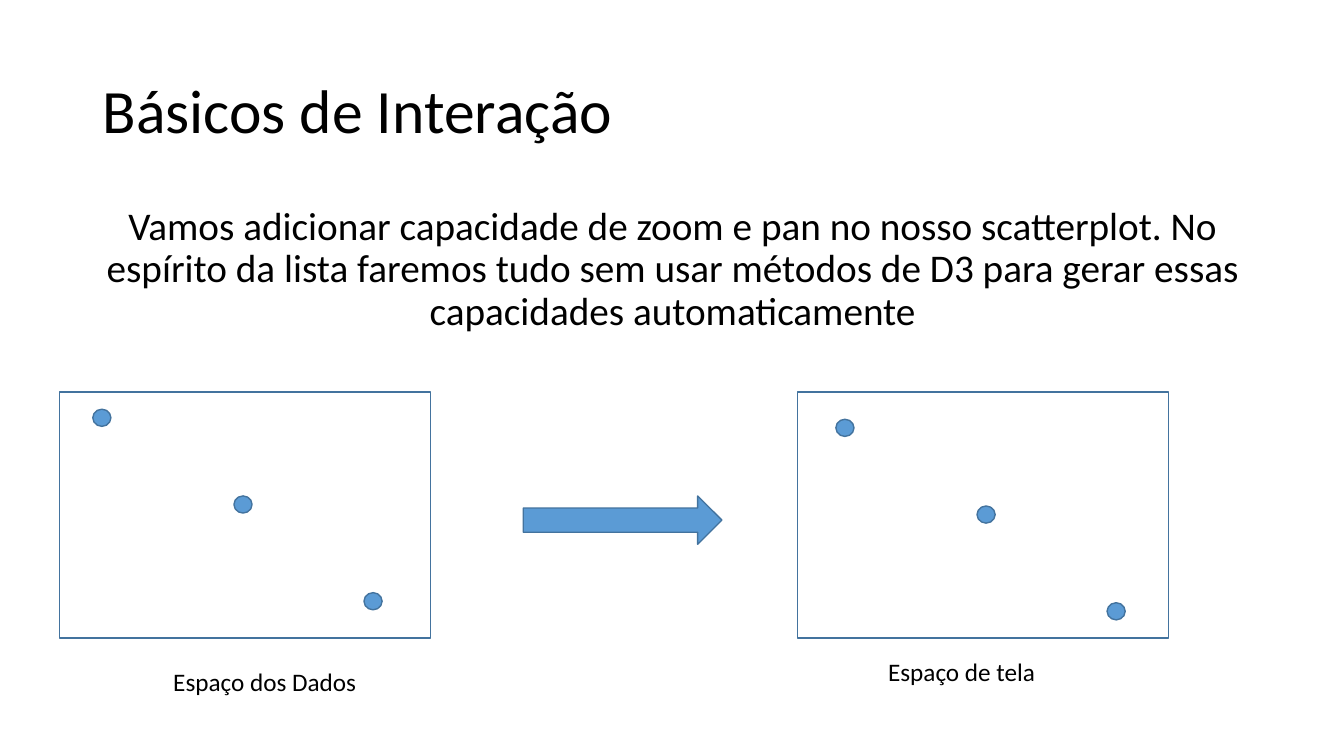
from pptx import Presentation
from pptx.dml.color import RGBColor
from pptx.enum.shapes import MSO_SHAPE
from pptx.enum.text import MSO_ANCHOR, PP_ALIGN
from pptx.util import Inches, Pt

RECT = MSO_SHAPE.RECTANGLE
OVAL = MSO_SHAPE.OVAL
ARROW = MSO_SHAPE.RIGHT_ARROW
TOP, MIDDLE = MSO_ANCHOR.TOP, MSO_ANCHOR.MIDDLE
LEFT, CENTER = PP_ALIGN.LEFT, PP_ALIGN.CENTER
BLUE, WHITE, BLACK, OUTLINE = "5B9BD5", "FFFFFF", "000000", "43739E"


def add_text(x, y, w, h, text, size, align=LEFT, anchor=TOP, spacing=1.0):
    tf = s.shapes.add_textbox(Inches(x), Inches(y), Inches(w), Inches(h)).text_frame
    tf.word_wrap = True
    tf.vertical_anchor = anchor
    p = tf.paragraphs[0]
    p.alignment = align
    p.line_spacing = spacing
    r = p.add_run()
    r.text = text
    r.font.name = "Calibri"
    r.font.size = Pt(size)
    r.font.color.rgb = RGBColor.from_string(BLACK)
    return p


def add_shape(kind, x, y, w, h, fill):
    sp = s.shapes.add_shape(kind, Inches(x), Inches(y), Inches(w), Inches(h))
    sp.shadow.inherit = False
    sp.fill.solid()
    sp.fill.fore_color.rgb = RGBColor.from_string(fill)
    sp.line.color.rgb = RGBColor.from_string(OUTLINE)
    sp.line.width = Pt(1)


prs = Presentation()
prs.slide_width, prs.slide_height = Inches(13.33), Inches(7.5)
s = prs.slides.add_slide(prs.slide_layouts[6])

add_text(0.92, 0.4, 11.5, 1.45, "Básicos de Interação", 44, anchor=MIDDLE, spacing=0.9)
body = add_text(
    0.92, 2, 11.5, 4.76,
    "Vamos adicionar capacidade de zoom e pan no nosso scatterplot. "
    "No espírito da lista faremos tudo sem usar métodos de D3 para gerar "
    "essas capacidades automaticamente",
    28, align=CENTER, spacing=0.9)
body.space_before = Pt(10)

spaces = [
    (0.59, "Espaço dos Dados", 1.62, 6.56, 0.92, 4.06),
    (7.91, "Espaço de tela", 8.71, 6.46, 8.29, 4.16),
]
point_offsets = [(0, 0), (1.4, 0.86), (2.69, 1.82)]

for frame_x, label, label_x, label_y, points_x, points_y in spaces:
    add_shape(RECT, frame_x, 3.89, 3.68, 2.44, WHITE)
    add_text(label_x, label_y, 2.07, 0.4, label, 18)
    for dx, dy in point_offsets:
        add_shape(OVAL, points_x + dx, points_y + dy, 0.18, 0.17, BLUE)

add_shape(ARROW, 5.19, 4.92, 1.97, 0.48, BLUE)

prs.save("out.pptx")
